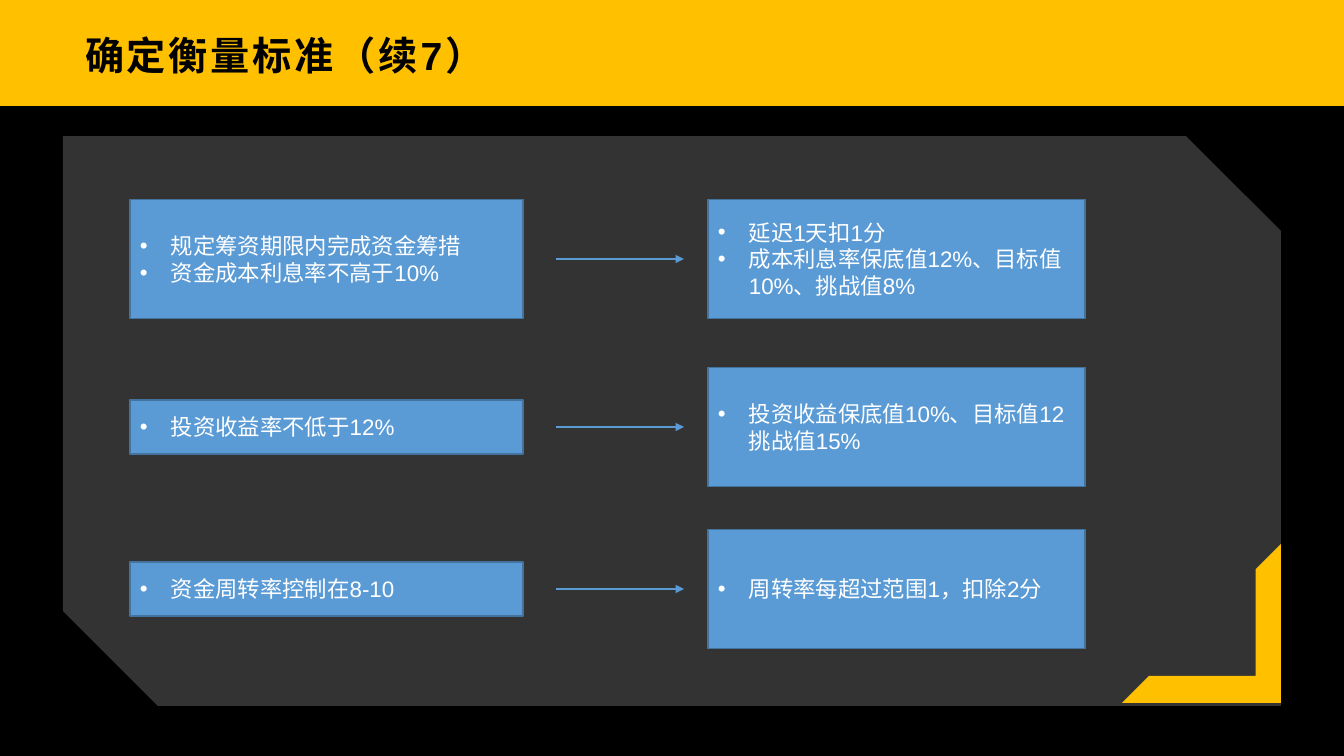
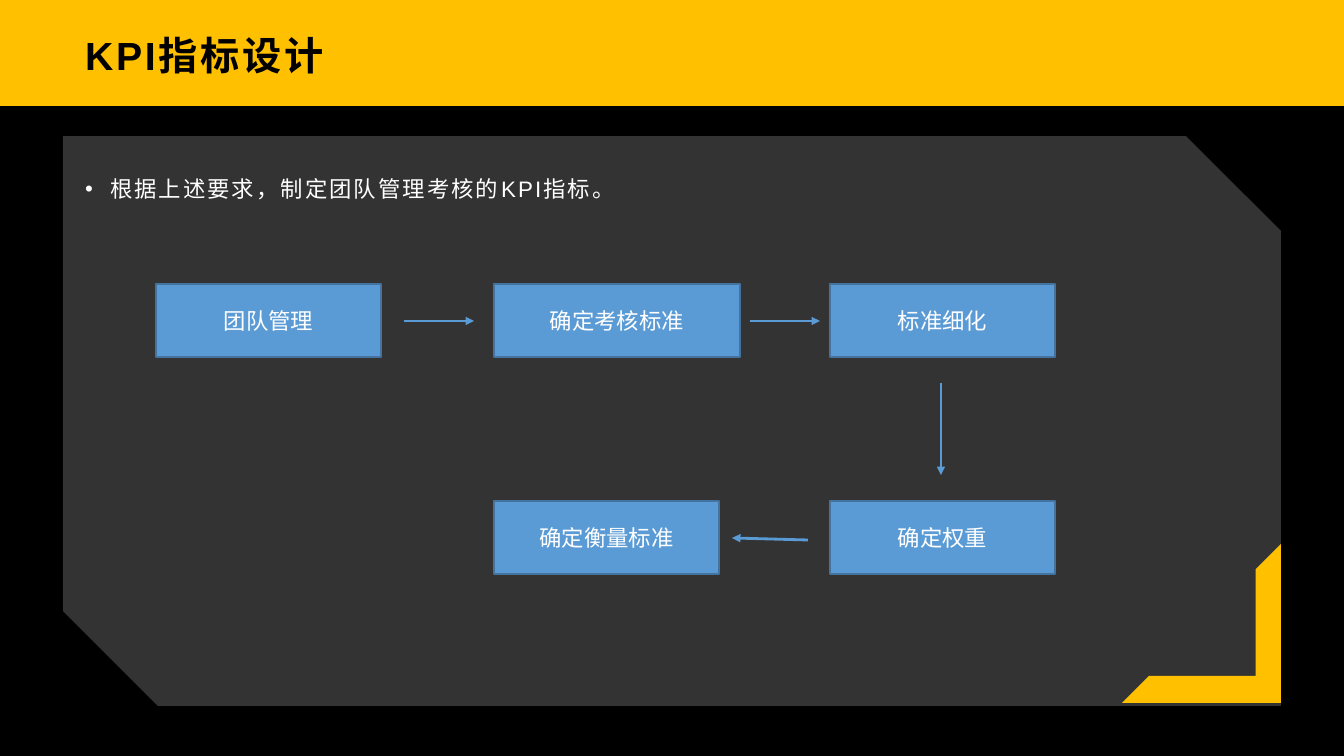
"""Build two dark slides on KPI measures: a criteria-to-scoring map and a design flow."""
from dataclasses import dataclass

from lxml import etree
from pptx import Presentation
from pptx import util as u
from pptx.dml.color import RGBColor
from pptx.enum import shapes, text
from pptx.oxml.ns import qn


@dataclass(frozen=True)
class Theme:
    font: str = "Arial"
    gold: RGBColor = RGBColor(0xFF, 0xC0, 0x00)
    black: RGBColor = RGBColor(0, 0, 0)
    white: RGBColor = RGBColor(0xFF, 0xFF, 0xFF)
    blue: RGBColor = RGBColor(0x5B, 0x9B, 0xD5)
    edge: RGBColor = RGBColor(0x43, 0x73, 0x9E)
    title: int = 28
    body: int = 16


T = Theme()
PX_PER_INCH = 100.8


def px(*values):
    return [u.Emu(round(v * 914400 / PX_PER_INCH)) for v in values]


def write(tf, content, size, color, bold=False, tracking=0, indent=0, align=text.PP_ALIGN.LEFT):
    tf.word_wrap = True
    tf.text = content
    for p in tf.paragraphs:
        p.alignment = align
        if indent:
            pPr = p._p.get_or_add_pPr()
            margin = px(indent)[0]
            pPr.set("marL", str(margin))
            pPr.set("indent", str(-margin))
            etree.SubElement(pPr, qn("a:buFont")).set("typeface", T.font)
            etree.SubElement(pPr, qn("a:buChar")).set("char", "•")
        for r in p.runs:
            r.font.name, r.font.size, r.font.bold = T.font, u.Pt(size), bold
            r.font.color.rgb = color
            rPr = r._r.get_or_add_rPr()
            rPr.set("lang", "zh-CN")
            rPr.set("spc", str(round(tracking * 100)))


prs = Presentation()
prs.slide_width, prs.slide_height = px(1344, 756)

backdrop = prs.slide_master.background.fill
backdrop.gradient()
backdrop.gradient_angle = 270
for stop, color in zip(backdrop.gradient_stops, (T.gold, T.black)):
    stop.position = 0.14
    stop.color.rgb = color

CRITERIA = [
    (259, 119, "规定筹资期限内完成资金筹措\n资金成本利息率不高于10%",
     "延迟1天扣1分\n成本利息率保底值12%、目标值10%、挑战值8%"),
    (427, 54, "投资收益率不低于12%", "投资收益保底值10%、目标值12挑战值15%"),
    (589, 54, "资金周转率控制在8-10", "周转率每超过范围1，扣除2分"),
]
criteria_boxes, criteria_arrows = [], []
for mid, height, criterion, scoring in CRITERIA:
    criteria_boxes.append((130, mid - height / 2, 393, height, criterion))
    criteria_boxes.append((708, mid - 119 / 2, 377, 119, scoring))
    criteria_arrows.append((556, mid, 684, mid))

COLS, ROWS = (156, 494, 830), (284, 501)
STEPS = [
    (0, 0, 225, "团队管理"),
    (1, 0, 246, "确定考核标准"),
    (2, 0, 225, "标准细化"),
    (2, 1, 225, "确定权重"),
    (1, 1, 225, "确定衡量标准"),
]
flow_boxes = [(COLS[c], ROWS[r], w, 73, label) for c, r, w, label in STEPS]
flow_arrows = [(404, 321, 474, 321), (750, 321, 820, 321),
               (941, 383, 941, 475), (808, 540, 732, 538)]

SLIDES = [
    ("确定衡量标准（续7）", "", criteria_boxes, criteria_arrows, 31, text.PP_ALIGN.LEFT),
    ("KPI指标设计", "根据上述要求，制定团队管理考核的KPI指标。",
     flow_boxes, flow_arrows, 0, text.PP_ALIGN.CENTER),
]

for title, intro, boxes, arrows, indent, align in SLIDES:
    s = prs.slides.add_slide(prs.slide_layouts[5])

    heading = s.shapes.title
    heading.left, heading.top, heading.width, heading.height = px(74, 19, 1197, 72)
    tf = heading.text_frame
    tf.margin_left, tf.margin_top, tf.margin_right, tf.margin_bottom = px(11, 4, 8, 4)
    tf.vertical_anchor = text.MSO_ANCHOR.MIDDLE
    tf.auto_size = text.MSO_AUTO_SIZE.NONE
    write(tf, title, T.title, T.black, bold=True, tracking=2)

    panel = s.shapes.add_shape(shapes.MSO_SHAPE.SNIP_2_DIAG_RECTANGLE, *px(63, 136, 1218, 570))
    panel.shadow.inherit = False
    panel.fill.solid()
    panel.fill.fore_color.rgb = T.white
    tint = panel._element.spPr.find(qn("a:solidFill"))[0]
    etree.SubElement(tint, qn("a:alpha")).set("val", "20000")
    panel.line.fill.background()

    if intro:
        tf = s.shapes.add_textbox(*px(74, 167, 1197, 531)).text_frame
        tf.margin_left, tf.margin_top, tf.margin_right, tf.margin_bottom = px(11, 0, 9, 0)
        write(tf, intro, T.body, T.white, tracking=1.5, indent=25)
        tf.paragraphs[0].line_spacing = 1.3
        tf.paragraphs[0].space_after = u.Pt(10)

    for x, y, w, h, label in boxes:
        sp = s.shapes.add_shape(shapes.MSO_SHAPE.RECTANGLE, *px(x, y, w, h))
        sp.shadow.inherit = False
        sp.fill.solid()
        sp.fill.fore_color.rgb = T.blue
        sp.line.color.rgb = T.edge
        sp.line.width = u.Pt(1)
        sp.text_frame.vertical_anchor = text.MSO_ANCHOR.MIDDLE
        write(sp.text_frame, label, T.body, T.white, indent=indent, align=align)

    for ends in arrows:
        arrow = s.shapes.add_connector(shapes.MSO_CONNECTOR.STRAIGHT, *px(*ends))
        arrow.line.color.rgb = T.blue
        arrow.line.width = u.Pt(2)
        etree.SubElement(arrow.line._get_or_add_ln(), qn("a:tailEnd")).set("type", "triangle")
        etree.SubElement(arrow._element.spPr, qn("a:effectLst"))

    corner = s.shapes.add_shape(shapes.MSO_SHAPE.HALF_FRAME, *px(1122, 544, 159, 159))
    corner.shadow.inherit = False
    corner.rotation = 180
    corner.adjustments[0], corner.adjustments[1] = 0.17, 0.16
    corner.fill.solid()
    corner.fill.fore_color.rgb = T.gold
    corner.line.fill.background()

prs.save("out.pptx")
